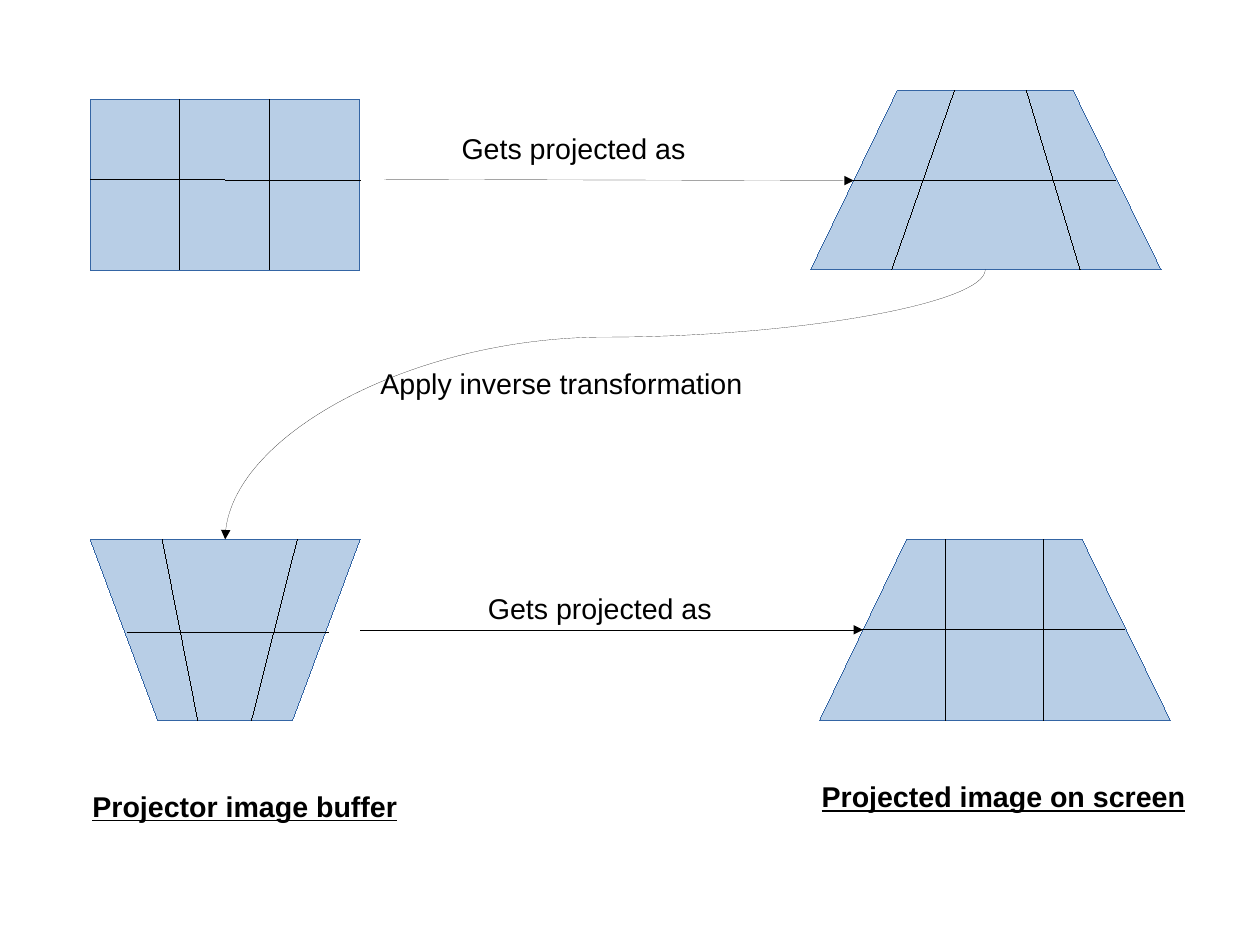
from dataclasses import dataclass

from lxml.etree import SubElement
from pptx import Presentation
from pptx.dml.color import RGBColor
from pptx.enum.shapes import MSO_CONNECTOR as Connector, MSO_SHAPE as Preset
from pptx.enum.text import MSO_AUTO_SIZE as AutoSize
from pptx.oxml.ns import qn
from pptx.util import Inches, Pt


@dataclass(frozen=True)
class Theme:
    panel_fill: RGBColor = RGBColor.from_string("729FCF")
    panel_line: RGBColor = RGBColor.from_string("3465A4")
    ink: RGBColor = RGBColor.from_string("000000")
    panel_alpha: int = 50000
    hairline: Pt = Pt(0.01)
    font: str = "Arial"
    text_size: Pt = Pt(18)


THEME = Theme()
CENTIMETERS_PER_INCH = 2.54
SLIDE_WIDTH = Inches(28 / CENTIMETERS_PER_INCH)
SLIDE_HEIGHT = Inches(21 / CENTIMETERS_PER_INCH)

BUFFER_RECTANGLE = (0.79, 0.87, 2.36, 1.5)
TRAPEZOIDS = [
    [(7.09, 2.36), (10.16, 2.36), (9.39, 0.79), (7.85, 0.79)],
    [(0.79, 4.72), (3.15, 4.72), (2.56, 6.3), (1.38, 6.3)],
    [(7.17, 6.3), (10.24, 6.3), (9.47, 4.72), (7.93, 4.72)],
]

GRIDS = [
    {"rows": (0.87, 2.36), "columns": [(1.57, 1.57), (2.36, 2.36)],
     "middle": ((0.79, 1.57), (3.15, 1.58))},
    {"rows": (0.79, 2.36), "columns": [(8.35, 7.8), (8.98, 9.45)],
     "middle": ((7.47, 1.58), (9.76, 1.58))},
    {"rows": (4.72, 6.3), "columns": [(1.42, 1.73), (2.6, 2.2)],
     "middle": ((1.12, 5.53), (2.87, 5.53))},
    {"rows": (4.72, 6.3), "columns": [(8.27, 8.27), (9.13, 9.13)],
     "middle": ((7.55, 5.51), (9.84, 5.51))},
]

PROJECTION_ARROWS = [((3.36, 1.57), (7.47, 1.58)), ((3.15, 5.51), (7.55, 5.51))]
INVERSE_ARROW = ((8.62, 2.36), (1.97, 4.72))
INVERSE_BEND = 25000

LABELS = [
    ("Gets projected as", (3.94, 1.1, 2.6, 0.38), False),
    ("Apply inverse transformation", (3.23, 3.15, 3.7, 0.39), False),
    ("Gets projected as", (4.17, 5.12, 2.36, 0.66), False),
    ("Projector image buffer", (0.71, 6.85, 3.39, 0.66), True),
    ("Projected image on screen", (7.09, 6.77, 3.46, 0.66), True),
]


def to_lengths(values):
    return [Inches(value) for value in values]


def style_panel(shape):
    shape.shadow.inherit = False
    shape.fill.solid()
    shape.fill.fore_color.rgb = THEME.panel_fill
    color = shape._element.spPr.find(qn("a:solidFill"))[0]
    SubElement(color, qn("a:alpha"), val=str(THEME.panel_alpha))
    shape.line.color.rgb = THEME.panel_line
    shape.line.width = THEME.hairline


def add_trapezoid(slide, corners):
    points = [to_lengths(corner) for corner in corners]
    builder = slide.shapes.build_freeform(*points[0])
    builder.add_line_segments(points[1:], close=True)
    style_panel(builder.convert_to_shape())


def add_line(slide, start, end, arrow=False, kind=Connector.STRAIGHT):
    line = slide.shapes.add_connector(kind, *to_lengths(start + end))
    line.line.color.rgb = THEME.ink
    line.line.width = THEME.hairline
    properties = line._element.spPr
    if arrow:
        SubElement(properties.find(qn("a:ln")), qn("a:tailEnd"), type="triangle")
    SubElement(properties, qn("a:effectLst"))
    return line


def add_grid(slide, grid):
    top, bottom = grid["rows"]
    for upper, lower in grid["columns"]:
        add_line(slide, (upper, top), (lower, bottom))
    add_line(slide, *grid["middle"])


def add_inverse_arrow(slide):
    (start_x, start_y), (end_x, end_y) = INVERSE_ARROW
    center_x, center_y = (start_x + end_x) / 2, (start_y + end_y) / 2
    half_width, half_height = (end_y - start_y) / 2, (start_x - end_x) / 2
    curve = add_line(
        slide,
        (center_x - half_width, center_y - half_height),
        (center_x + half_width, center_y + half_height),
        arrow=True,
        kind=Connector.CURVE,
    )
    properties = curve._element.spPr
    properties.find(qn("a:xfrm")).set("rot", str(90 * 60000))
    geometry = properties.find(qn("a:prstGeom"))
    adjustments = geometry.find(qn("a:avLst"))
    if adjustments is None:
        adjustments = SubElement(geometry, qn("a:avLst"))
    SubElement(adjustments, qn("a:gd"), name="adj1", fmla=f"val {INVERSE_BEND}")


def add_label(slide, text, box, heading):
    text_frame = slide.shapes.add_textbox(*to_lengths(box)).text_frame
    text_frame.word_wrap = True
    text_frame.auto_size = AutoSize.SHAPE_TO_FIT_TEXT
    text_frame.text = text
    font = text_frame.paragraphs[0].runs[0].font
    font.name = THEME.font
    font.size = THEME.text_size
    font.color.rgb = THEME.ink
    font.bold = heading
    font.underline = heading


def main():
    presentation = Presentation()
    presentation.slide_width = SLIDE_WIDTH
    presentation.slide_height = SLIDE_HEIGHT
    slide = presentation.slides.add_slide(presentation.slide_layouts[6])

    style_panel(slide.shapes.add_shape(Preset.RECTANGLE, *to_lengths(BUFFER_RECTANGLE)))
    for corners in TRAPEZOIDS:
        add_trapezoid(slide, corners)
    for start, end in PROJECTION_ARROWS:
        add_line(slide, start, end, arrow=True)
    add_inverse_arrow(slide)
    for label in LABELS:
        add_label(slide, *label)
    for grid in GRIDS:
        add_grid(slide, grid)

    presentation.save("out.pptx")


if __name__ == "__main__":
    main()
